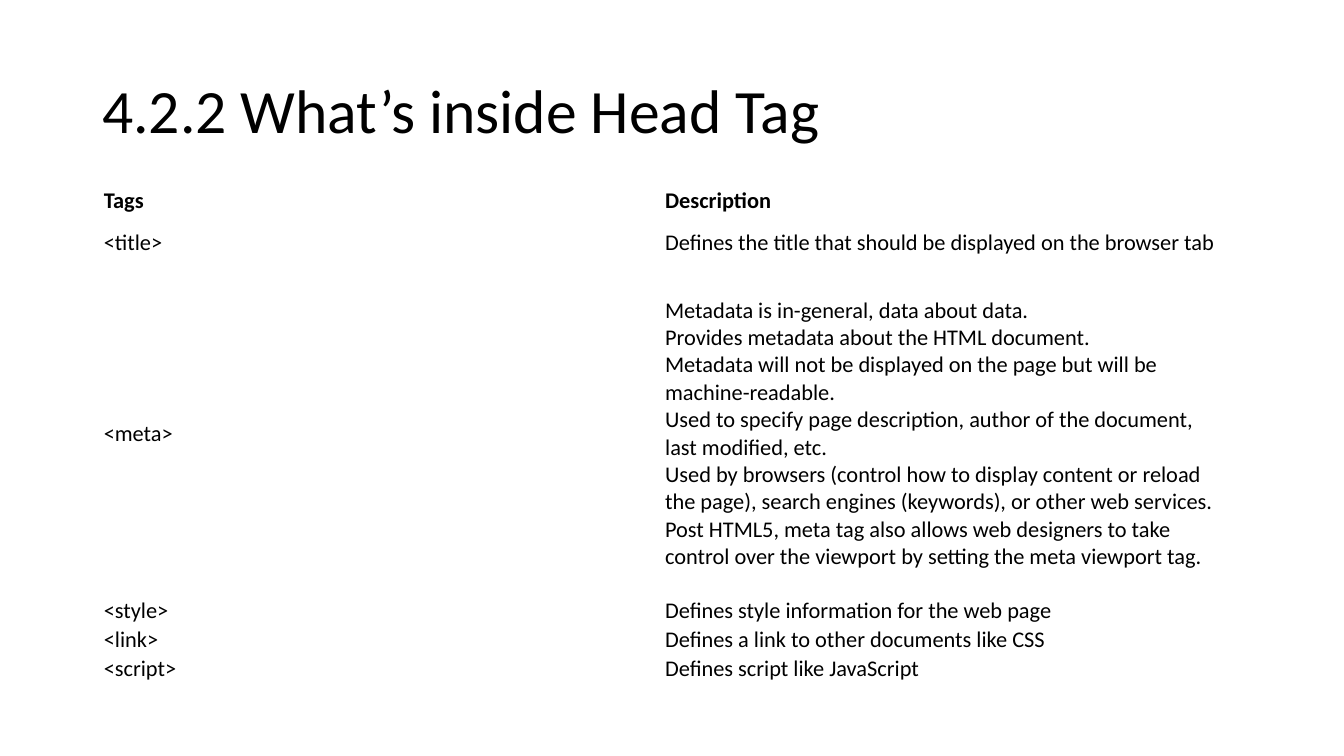
from dataclasses import dataclass

from pptx import Presentation
from pptx.dml.color import RGBColor
from pptx.enum.text import MSO_ANCHOR as Anchor
from pptx.slide import Slide
from pptx.text.text import TextFrame
from pptx.util import Pt


@dataclass(frozen=True)
class Theme:
    font: str = "Calibri"
    text: RGBColor = RGBColor(0x00, 0x00, 0x00)
    background: RGBColor = RGBColor(0xFF, 0xFF, 0xFF)
    title_size: float = 44
    table_size: float = 16


@dataclass(frozen=True)
class TagRow:
    tag: str
    description: tuple[str, ...]
    height: float = 20.16
    bold: bool = False


THEME = Theme()
TITLE = "4.2.2 What’s inside Head Tag"
COLUMN_WIDTH = 401
CELL_MARGIN = 0.75
TAG_ROWS = (
    TagRow("Tags", ("Description",), bold=True),
    TagRow("<title>", ("Defines the title that should be displayed on the browser tab",), height=39.6),
    TagRow(
        "<meta>",
        (
            "Metadata is in-general, data about data.",
            "Provides metadata about the HTML document.",
            "Metadata will not be displayed on the page but will be machine-readable.",
            "Used to specify page description, author of the document, last modified, etc.",
            "Used by browsers (control how to display content or reload the page), "
            "search engines (keywords), or other web services.",
            "Post HTML5, meta tag also allows web designers to take control over "
            "the viewport by setting the meta viewport tag.",
        ),
        height=232.56,
    ),
    TagRow("<style>", ("Defines style information for the web page",)),
    TagRow("<link>", ("Defines a link to other documents like CSS",)),
    TagRow("<script>", ("Defines script like JavaScript",)),
)


def write_text(frame: TextFrame, lines: tuple[str, ...], *, size: float,
               bold: bool = False, line_spacing: float = 1.0) -> None:
    """Write one formatted paragraph per line into a text frame."""
    frame.word_wrap = True
    for index, line in enumerate(lines):
        paragraph = frame.add_paragraph() if index else frame.paragraphs[0]
        paragraph.line_spacing = line_spacing
        run = paragraph.add_run()
        run.text = line
        run.font.name = THEME.font
        run.font.size = Pt(size)
        run.font.bold = bold
        run.font.color.rgb = THEME.text


def add_title(slide: Slide, title: str) -> None:
    """Add the slide heading."""
    frame = slide.shapes.add_textbox(Pt(66), Pt(28.8), Pt(828), Pt(104.4)).text_frame
    frame.vertical_anchor = Anchor.MIDDLE
    write_text(frame, (title,), size=THEME.title_size, line_spacing=0.9)


def add_tag_table(slide: Slide, tag_rows: tuple[TagRow, ...]) -> None:
    """Add the unfilled table of tags and their descriptions."""
    height = sum(tag_row.height for tag_row in tag_rows)
    table = slide.shapes.add_table(
        len(tag_rows), 2, Pt(73.4), Pt(133.2), Pt(2 * COLUMN_WIDTH), Pt(height)
    ).table
    table.first_row = False
    table.horz_banding = False
    for column in table.columns:
        column.width = Pt(COLUMN_WIDTH)
    for row, tag_row in zip(table.rows, tag_rows):
        row.height = Pt(tag_row.height)
        for cell, lines in zip(row.cells, ((tag_row.tag,), tag_row.description)):
            cell.fill.background()
            cell.vertical_anchor = Anchor.MIDDLE
            cell.margin_left = cell.margin_right = Pt(CELL_MARGIN)
            cell.margin_top = cell.margin_bottom = Pt(CELL_MARGIN)
            write_text(cell.text_frame, lines, size=THEME.table_size, bold=tag_row.bold)


def main() -> None:
    """Build and save the presentation."""
    presentation = Presentation()
    presentation.slide_width, presentation.slide_height = Pt(960), Pt(540)
    slide = presentation.slides.add_slide(presentation.slide_layouts[6])
    slide.background.fill.solid()
    slide.background.fill.fore_color.rgb = THEME.background
    add_title(slide, TITLE)
    add_tag_table(slide, TAG_ROWS)
    presentation.save("out.pptx")


if __name__ == "__main__":
    main()
